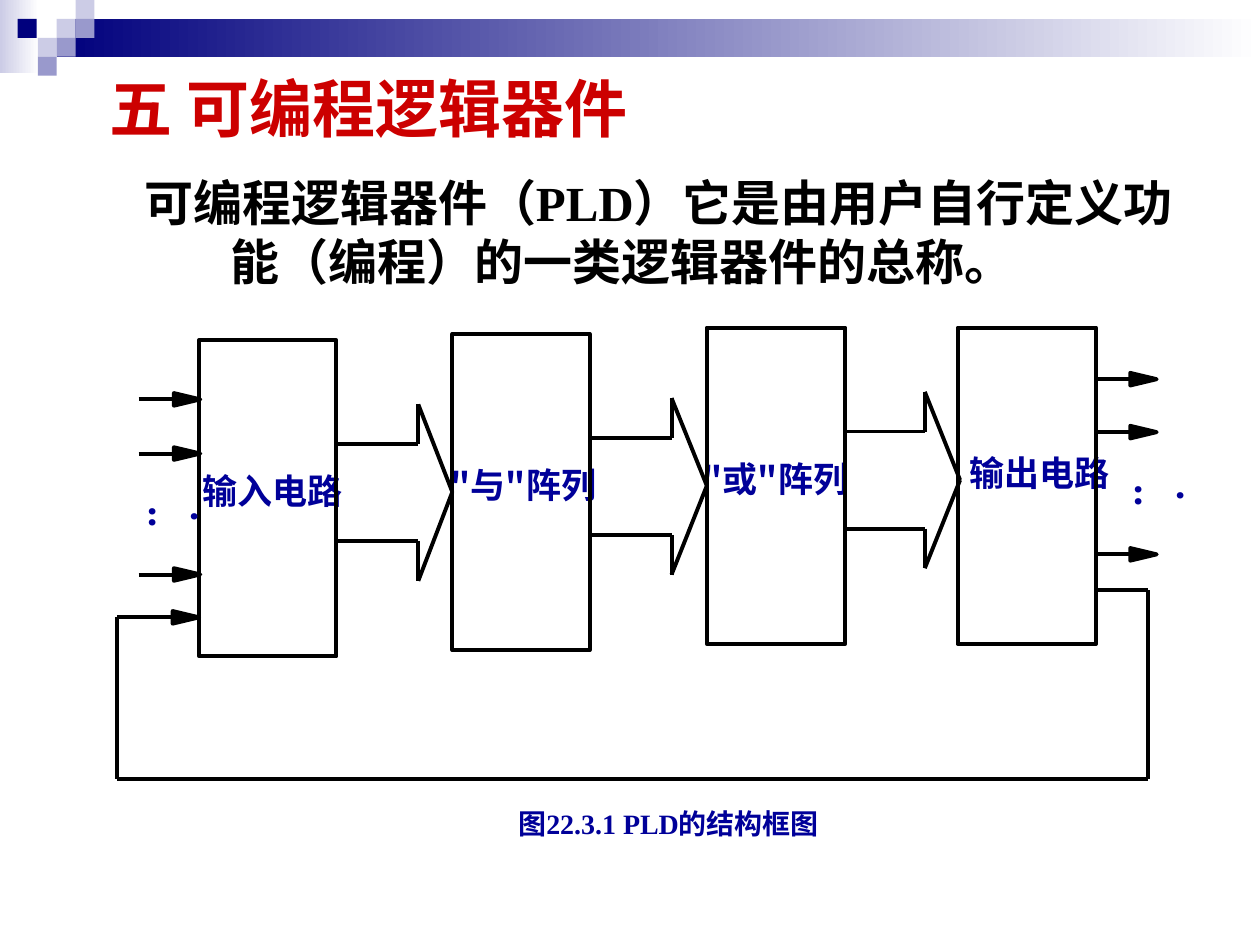
from typing import NamedTuple, Optional

from lxml.etree import SubElement
from pptx import Presentation
from pptx.dml.color import RGBColor
from pptx.enum.shapes import MSO_CONNECTOR, MSO_SHAPE
from pptx.enum.text import MSO_ANCHOR, PP_ALIGN
from pptx.oxml.ns import qn
from pptx.util import Inches, Pt

BLACK = RGBColor(0x00, 0x00, 0x00)
WHITE = RGBColor(0xFF, 0xFF, 0xFF)
RED = RGBColor(0xCC, 0x00, 0x00)
BLUE = RGBColor(0x00, 0x00, 0x99)
NAVY = RGBColor(0x00, 0x00, 0x7D)
LAVENDER = RGBColor(0xCC, 0xCC, 0xE6)
PERIWINKLE = RGBColor(0x99, 0x99, 0xCC)

SANS = "Noto Sans CJK SC"
SERIF = "Times New Roman"
LINE_WIDTH = Pt(2.25)
TILE = 0.15
BLOCK_HEIGHT = 2.51


class Rect(NamedTuple):
    left: float
    top: float
    width: float
    height: float


class Block(NamedTuple):
    label: str
    frame: Rect
    label_frame: Rect


class BlockArrow(NamedTuple):
    start: float
    neck: float
    tip: float
    middle: float
    target: Optional[int]  # block whose left side the tip meets at its middle


class Signal(NamedTuple):
    start: float
    neck: float
    y: float


BLOCKS = [
    Block("输入电路", Rect(1.58, 2.7, 1.09, BLOCK_HEIGHT), Rect(1.6, 3.73, 1.12, 0.33)),
    Block('"与"阵列', Rect(3.59, 2.65, 1.09, BLOCK_HEIGHT), Rect(3.53, 3.68, 1.25, 0.33)),
    Block('"或"阵列', Rect(5.61, 2.6, 1.1, BLOCK_HEIGHT), Rect(5.53, 3.63, 1.25, 0.33)),
    Block("输出电路", Rect(7.6, 2.6, 1.1, BLOCK_HEIGHT), Rect(7.69, 3.58, 1.12, 0.33)),
]
BLOCK_ARROWS = [
    BlockArrow(2.67, 3.32, 3.59, 3.91, 1),
    BlockArrow(4.69, 5.33, 5.61, 3.86, 2),
    BlockArrow(6.7, 7.34, 7.62, 3.81, None),
]
INPUTS = [Signal(1.1, 1.38, y) for y in (3.17, 3.6, 4.56)]
OUTPUTS = [Signal(8.69, 8.97, y) for y in (3.01, 3.43, 4.4)]
FEEDBACK_IN = Signal(0.93, 1.37, 4.9)
FEEDBACK_PATH = [(0.93, 4.9), (0.93, 6.18), (9.11, 6.18), (9.11, 4.68), (8.69, 4.68)]
ELLIPSES = [Rect(1, 3.94, 0.24, 0.33), Rect(8.83, 3.77, 0.24, 0.33)]
TILES = [
    (0.45, 0.15, LAVENDER), (0.6, 0, LAVENDER), (0.6, 0.15, PERIWINKLE),
    (0.3, 0.3, LAVENDER), (0.14, 0.15, NAVY), (0.45, 0.3, PERIWINKLE),
    (0.3, 0.45, PERIWINKLE),
]


def inches(rect: Rect) -> list:
    return [Inches(value) for value in rect]


def add_rect(page, rect: Rect):
    shape = page.shapes.add_shape(MSO_SHAPE.RECTANGLE, *inches(rect))
    shape.shadow.inherit = False
    return shape


def add_tile(page, left: float, top: float, color: RGBColor) -> None:
    tile = add_rect(page, Rect(left, top, TILE, TILE))
    tile.fill.solid()
    tile.fill.fore_color.rgb = color
    tile.line.fill.background()


def add_gradient(page, rect: Rect, start: RGBColor) -> None:
    """Add a band that fades to white from left to right."""
    band = add_rect(page, rect)
    band.line.fill.background()
    band.fill.gradient()
    band.fill.gradient_angle = 0
    for stop, position, color in zip(band.fill.gradient_stops, (0, 1), (start, WHITE)):
        stop.position = position
        stop.color.rgb = color


def add_text(page, rect: Rect, text: str, *, size: float, color: RGBColor,
             font: str = SANS, east_asian: str = SANS, align=PP_ALIGN.CENTER,
             anchor=MSO_ANCHOR.TOP, inset: tuple = (0, 0), indent: float = 0,
             rotation: float = 0) -> None:
    box = page.shapes.add_textbox(*inches(rect))
    box.rotation = rotation
    frame = box.text_frame
    frame.word_wrap = True
    frame.vertical_anchor = anchor
    frame.margin_left = frame.margin_right = Inches(inset[0])
    frame.margin_top = frame.margin_bottom = Inches(inset[1])
    para = frame.paragraphs[0]
    para.alignment = align
    para.line_spacing = Pt(size * 1.2)
    if indent:
        para._p.get_or_add_pPr().set("indent", str(Inches(indent)))
    span = para.add_run()
    span.text = text
    span.font.size = Pt(size)
    span.font.bold = True
    span.font.name = font
    span.font.color.rgb = color
    SubElement(span._r.get_or_add_rPr(), qn("a:ea"), typeface=east_asian)


def add_line(page, start: tuple, end: tuple):
    line = page.shapes.add_connector(
        MSO_CONNECTOR.STRAIGHT, *(Inches(value) for value in (*start, *end)))
    line.line.color.rgb = BLACK
    line.line.width = LINE_WIDTH
    SubElement(line._element.spPr, qn("a:effectLst"))
    return line


def add_path(page, points: list) -> list:
    return [add_line(page, start, end) for start, end in zip(points, points[1:])]


def add_block(page, block: Block):
    add_text(page, block.label_frame, block.label, size=20, color=BLUE)
    shape = add_rect(page, block.frame)
    shape.fill.background()
    shape.line.color.rgb = BLACK
    shape.line.width = LINE_WIDTH
    return shape


def add_block_arrow(page, arrow: BlockArrow, shapes: list) -> None:
    """Outline a wide arrow, open at its tail."""
    stem, head = 0.385, 0.7
    for side in (-1, 1):
        stem_y, head_y = arrow.middle + side * stem, arrow.middle + side * head
        edges = add_path(page, [(arrow.start, stem_y), (arrow.neck, stem_y),
                                (arrow.neck, head_y), (arrow.tip, arrow.middle)])
        if arrow.target is not None:
            edges[-1].end_connect(shapes[arrow.target], 1)


def add_signal(page, signal: Signal) -> None:
    """Draw a thin line that ends in a solid triangular head."""
    length, half = 0.21, 0.05
    add_line(page, (signal.start, signal.y), (signal.neck, signal.y))
    corners = [(signal.neck, signal.y - half), (signal.neck + length, signal.y),
               (signal.neck, signal.y + half)]
    points = [(Inches(x), Inches(y)) for x, y in corners]
    builder = page.shapes.build_freeform(*points[0])
    builder.add_line_segments(points[1:], close=True)
    head = builder.convert_to_shape()
    head.shadow.inherit = False
    head.fill.solid()
    head.fill.fore_color.rgb = BLACK
    head.line.color.rgb = BLACK
    head.line.width = LINE_WIDTH


def main() -> None:
    deck = Presentation()
    deck.slide_width, deck.slide_height = Inches(10), Inches(7.5)
    page = deck.slides.add_slide(deck.slide_layouts[6])

    add_gradient(page, Rect(0, 0, 0.31, 0.58), LAVENDER)
    add_gradient(page, Rect(0.45, 0.15, 9.55, 0.3), NAVY)
    for tile in TILES:
        add_tile(page, *tile)

    add_text(page, Rect(0.77, 0.48, 8.5, 0.75), "五 可编程逻辑器件", size=36, color=RED,
             font="Noto Sans CJK JP", east_asian="Noto Sans CJK JP",
             align=PP_ALIGN.LEFT, anchor=MSO_ANCHOR.MIDDLE, inset=(0.1, 0.05))
    add_text(page, Rect(0.35, 1.32, 9.17, 1.04),
             "可编程逻辑器件（PLD）它是由用户自行定义功能（编程）的一类逻辑器件的总称。",
             size=28, color=BLACK, font=SERIF, inset=(0.1, 0.05), indent=0.58)

    shapes = [add_block(page, block) for block in BLOCKS]
    for arrow in BLOCK_ARROWS:
        add_block_arrow(page, arrow, shapes)
    for signal in (*INPUTS, *OUTPUTS, FEEDBACK_IN):
        add_signal(page, signal)
    add_path(page, FEEDBACK_PATH)
    for rect in ELLIPSES:
        add_text(page, rect, "...", size=20, color=BLUE, rotation=270)

    add_text(page, Rect(3.18, 6.35, 4.25, 0.37), "图22.3.1 PLD的结构框图",
             size=16, color=BLUE, font=SERIF, inset=(0.1, 0.05))
    deck.save("out.pptx")


if __name__ == "__main__":
    main()
